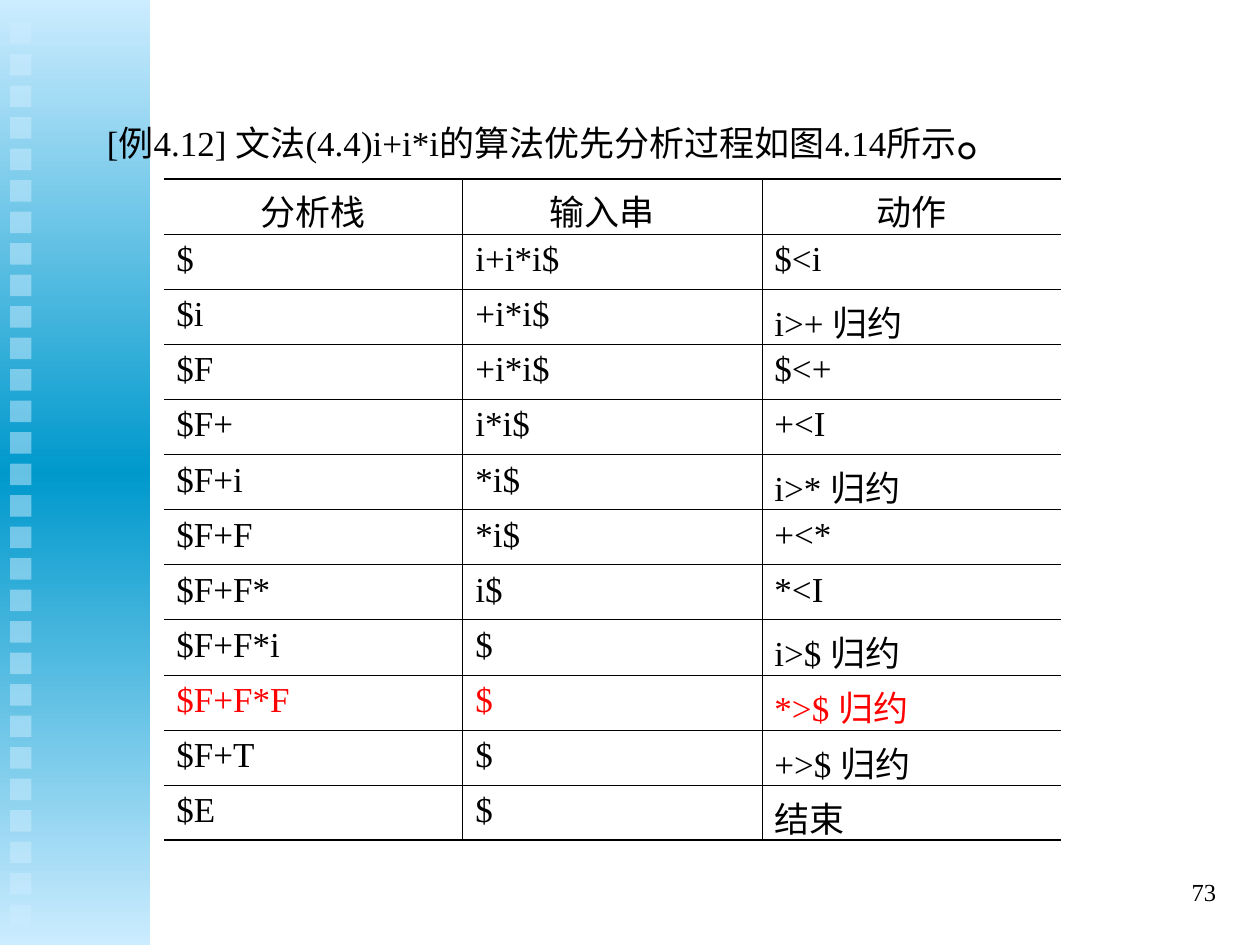
"""Build the slide showing an operator-precedence parse of i+i*i."""
from copy import deepcopy

from lxml import etree
from pptx import Presentation
from pptx.dml.color import RGBColor
from pptx.enum.shapes import MSO_SHAPE
from pptx.enum.text import MSO_ANCHOR, PP_ALIGN
from pptx.oxml.ns import qn
from pptx.util import Inches, Pt

RECTANGLE = MSO_SHAPE.RECTANGLE
CENTER, RIGHT, JUSTIFY = PP_ALIGN.CENTER, PP_ALIGN.RIGHT, PP_ALIGN.JUSTIFY
MIDDLE = MSO_ANCHOR.MIDDLE

HEADER = ("分析栈", "输入串\t", "动作")
STEPS = [
    ("$", "i+i*i$", "$<i"),
    ("$i", "+i*i$", "i>+ 归约"),
    ("$F", "+i*i$", "$<+"),
    ("$F+", "i*i$", "+<I"),
    ("$F+i", "*i$", "i>* 归约"),
    ("$F+F", "*i$", "+<*"),
    ("$F+F*", "i$", "*<I"),
    ("$F+F*i", "$", "i>$ 归约"),
    ("$F+F*F", "$", "*>$ 归约"),
    ("$F+T", "$", "+>$ 归约"),
    ("$E", "$", "结束"),
]
HIGHLIGHTED_STACK = "$F+F*F"


def color(value):
    return RGBColor.from_string(value)


class SlideBuilder:
    font = "Times New Roman"
    ink = "000000"
    accent = "FF0000"
    pale = "CCECFF"
    deep = "0099CC"
    thin, thick = 0.45, 1.08

    def __init__(self, slide):
        self.slide = slide

    def rectangle(self, left, top, width, height):
        shape = self.slide.shapes.add_shape(
            RECTANGLE, Inches(left), Inches(top), Inches(width), Inches(height))
        shape.shadow.inherit = False
        shape.line.fill.background()
        return shape

    def gradient_band(self, left, top, width, height):
        band = self.rectangle(left, top, width, height)
        band.fill.gradient()
        band.fill.gradient_angle = 90
        stops = next(band._element.iter(qn("a:gsLst")))
        stops.append(deepcopy(stops[-1]))
        for stop, position, value in zip(
                band.fill.gradient_stops, (0, 0.5, 1), (self.pale, self.deep, self.pale)):
            stop.position = position
            stop.color.rgb = color(value)

    def translucent_square(self, left, top, size, opacity):
        square = self.rectangle(left, top, size, size)
        square.fill.solid()
        square.fill.fore_color.rgb = color(self.pale)
        tone = next(square._element.iter(qn("a:srgbClr")))
        etree.SubElement(tone, qn("a:alpha"), val=str(opacity * 1000))

    def add_spans(self, para, spans, ink=ink, **formats):
        for name, value in formats.items():
            setattr(para, name, value)
        for words, size in spans:
            span = para.add_run()
            span.text = words
            for name, value in {"name": self.font, "size": Pt(size)}.items():
                setattr(span.font, name, value)
            span.font.color.rgb = color(ink)

    def text(self, left, top, width, height, spans, anchor=None, hanging=0, **formats):
        box = self.slide.shapes.add_textbox(
            Inches(left), Inches(top), Inches(width), Inches(height))
        frame = box.text_frame
        frame.word_wrap = True
        frame.vertical_anchor = anchor
        para = frame.paragraphs[0]
        self.add_spans(para, spans, **formats)
        if hanging:
            properties = para._p.get_or_add_pPr()
            properties.set("marL", str(Inches(hanging)))
            properties.set("indent", str(-Inches(hanging)))

    def border(self, cell, side, width):
        line = etree.SubElement(
            cell._tc.get_or_add_tcPr(), qn(f"a:ln{side}"), w=str(Pt(width)))
        if width:
            fill = etree.SubElement(line, qn("a:solidFill"))
            etree.SubElement(fill, qn("a:srgbClr"), val=self.ink)
        else:
            etree.SubElement(line, qn("a:noFill"))

    def table(self, left, top, width, height, rows):
        last_row, last_column = len(rows) - 1, len(rows[0]) - 1
        table = self.slide.shapes.add_table(
            len(rows), len(rows[0]), Inches(left), Inches(top),
            Inches(width), Inches(height)).table
        table.first_row = table.horz_banding = False
        for r, row in enumerate(rows):
            ink = self.accent if row[0] == HIGHLIGHTED_STACK else self.ink
            for c, words in enumerate(row):
                cell = table.cell(r, c)
                widths = {
                    "L": self.thin if c else 0,
                    "R": self.thin if c < last_column else 0,
                    "T": self.thin if r else self.thick,
                    "B": self.thin if r < last_row else self.thick,
                }
                for side, line_width in widths.items():
                    self.border(cell, side, line_width)
                cell.fill.background()
                self.add_spans(cell.text_frame.paragraphs[0], [(words, 20)], ink,
                               alignment=None if r else CENTER, space_before=Pt(5))


def main():
    deck = Presentation()
    deck.slide_width, deck.slide_height = Inches(10), Inches(7.5)
    page = SlideBuilder(deck.slides.add_slide(deck.slide_layouts[6]))

    page.gradient_band(0, 0, 1.19, 7.5)
    for index in range(29):
        page.translucent_square(0.08, 0.18 + 0.25 * index, 0.17, 50)

    page.text(0.75, 0.75, 8.5, 5.92,
              [("[例4.12] 文法(4.4)i+i*i的算法优先分析过程如图4.14所示", 20), ("。", 32)],
              hanging=0.38, alignment=JUSTIFY, space_before=Pt(8))
    page.table(1.3, 1.42, 7.12, 5.25, [HEADER, *STEPS])
    page.text(7.67, 6.83, 2.08, 0.5, [("73", 14)], anchor=MIDDLE, alignment=RIGHT)

    deck.save("out.pptx")


if __name__ == "__main__":
    main()
